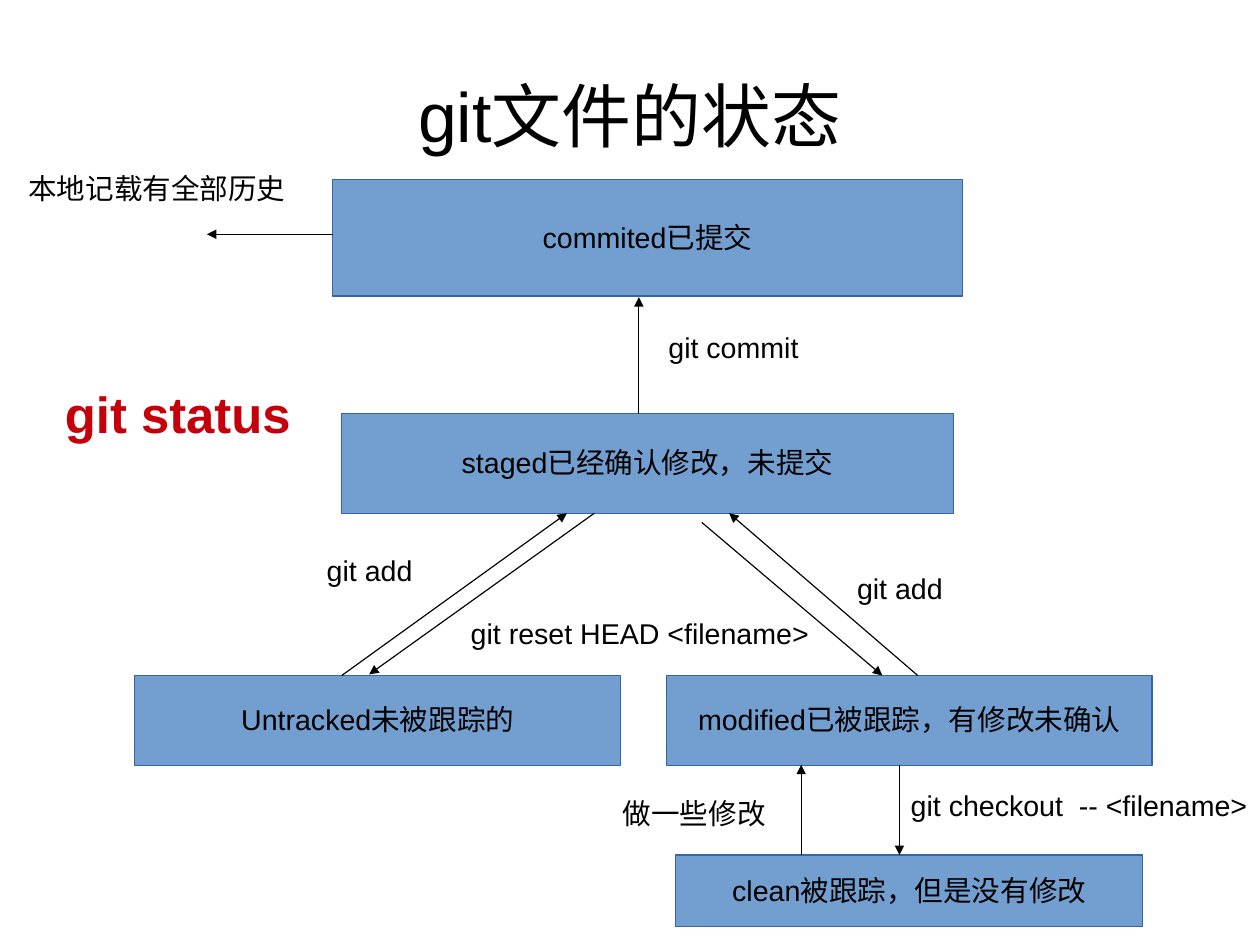
from dataclasses import dataclass

from lxml.etree import SubElement
from pptx import Presentation
from pptx.dml.color import RGBColor
from pptx.enum.shapes import MSO_CONNECTOR, MSO_SHAPE
from pptx.enum.text import MSO_ANCHOR, PP_ALIGN
from pptx.oxml.ns import qn
from pptx.shapes.autoshape import Shape
from pptx.slide import Slide
from pptx.util import Inches, Pt

BLACK = RGBColor(0x00, 0x00, 0x00)
RED = RGBColor(0xC5, 0x00, 0x0B)
BLUE = RGBColor(0x72, 0x9F, 0xCF)
DARK_BLUE = RGBColor(0x34, 0x65, 0xA4)
FONT = "Arial"
LINE_WIDTH = Pt(0.75)


@dataclass
class State:
    text: str
    left: float
    top: float
    width: float
    height: float


@dataclass
class Label:
    text: str
    left: float
    top: float
    width: float
    height: float = 0.38
    size: int = 18
    color: RGBColor = BLACK
    bold: bool = False
    centered: bool = False
    margin_top: float = 0.06


@dataclass
class Arrow:
    start: tuple[float, float]
    end: tuple[float, float]


STATES = [
    State("Untracked未被跟踪的", 1.18, 5.91, 4.25, 0.79),
    State("modified已被跟踪，有修改未确认", 5.83, 5.91, 4.25, 0.79),
    State("staged已经确认修改，未提交", 2.99, 3.62, 5.35, 0.87),
    State("commited已提交", 2.91, 1.57, 5.51, 1.02),
    State("clean被跟踪，但是没有修改", 5.91, 7.48, 4.09, 0.63),
]

ARROWS = [
    Arrow((2.99, 5.91), (4.96, 4.49)),  # untracked to staged
    Arrow((5.2, 4.49), (3.23, 5.9)),  # staged to untracked
    Arrow((8.03, 5.91), (6.38, 4.49)),  # modified to staged
    Arrow((6.14, 4.57), (7.72, 5.91)),  # staged to modified
    Arrow((5.59, 3.62), (5.59, 2.6)),  # staged to committed
    Arrow((2.91, 2.05), (1.81, 2.05)),  # committed to history
    Arrow((7.01, 7.48), (7.01, 6.69)),  # clean to modified
    Arrow((7.87, 6.69), (7.87, 7.48)),  # modified to clean
]

LABELS = [
    Label("git文件的状态", 0.55, 0.33, 9.92, 1.38, size=44, centered=True,
          margin_top=0.09),
    Label("git add", 2.76, 4.8, 0.95),
    Label("git add", 7.4, 4.96, 0.95),
    Label("git commit", 5.75, 2.85, 1.34),
    Label("本地记载有全部历史", 0.15, 1.46, 2.45, 0.43),
    Label("做一些修改", 5.35, 6.93, 1.45, 0.43),
    Label("git checkout  -- <filename>", 7.87, 6.86, 3.14),
    Label("git reset HEAD <filename>", 4.02, 5.35, 3.15),
    Label("git status", 0.47, 3.31, 2.18, 0.6, size=32, color=RED, bold=True,
          margin_top=0.08),
]


def write_text(box: Shape, text: str, size: int = 18, color: RGBColor = BLACK,
               bold: bool = False, centered: bool = True,
               margin_top: float = 0.06) -> None:
    frame = box.text_frame
    frame.word_wrap = False
    frame.margin_left = Inches(0.1)
    frame.margin_right = Inches(0.1 if centered else 0)
    frame.margin_top = Inches(margin_top)
    frame.margin_bottom = Inches(0.05)
    frame.vertical_anchor = MSO_ANCHOR.MIDDLE if centered else MSO_ANCHOR.TOP
    para = frame.paragraphs[0]
    para.alignment = PP_ALIGN.CENTER if centered else PP_ALIGN.LEFT
    para.line_spacing = 0.94
    span = para.add_run()
    span.text = text
    span.font.name = FONT
    span.font.size = Pt(size)
    span.font.bold = bold
    span.font.color.rgb = color


def draw_state(page: Slide, state: State) -> None:
    box = page.shapes.add_shape(
        MSO_SHAPE.RECTANGLE, Inches(state.left), Inches(state.top),
        Inches(state.width), Inches(state.height))
    box.shadow.inherit = False
    box.fill.solid()
    box.fill.fore_color.rgb = BLUE
    box.line.color.rgb = DARK_BLUE
    box.line.width = LINE_WIDTH
    write_text(box, state.text)


def draw_label(page: Slide, label: Label) -> None:
    box = page.shapes.add_textbox(
        Inches(label.left), Inches(label.top),
        Inches(label.width), Inches(label.height))
    write_text(box, label.text, label.size, label.color, label.bold,
               label.centered, label.margin_top)


def draw_arrow(page: Slide, arrow: Arrow) -> None:
    connector = page.shapes.add_connector(
        MSO_CONNECTOR.STRAIGHT,
        *(Inches(value) for value in arrow.start + arrow.end))
    connector.line.color.rgb = BLACK
    connector.line.width = LINE_WIDTH
    properties = connector.element.spPr
    SubElement(properties.find(qn("a:ln")), qn("a:tailEnd"), type="triangle")
    SubElement(properties, qn("a:effectLst"))


def main() -> None:
    deck = Presentation()
    # 28 by 21 cm page, in points
    deck.slide_width = Pt(793.75)
    deck.slide_height = Pt(595.25)
    page = deck.slides.add_slide(deck.slide_layouts[6])

    # File states
    for state in STATES:
        draw_state(page, state)

    # Transitions between states
    for arrow in ARROWS:
        draw_arrow(page, arrow)

    # Title and commands
    for label in LABELS:
        draw_label(page, label)

    deck.save("out.pptx")


if __name__ == "__main__":
    main()
